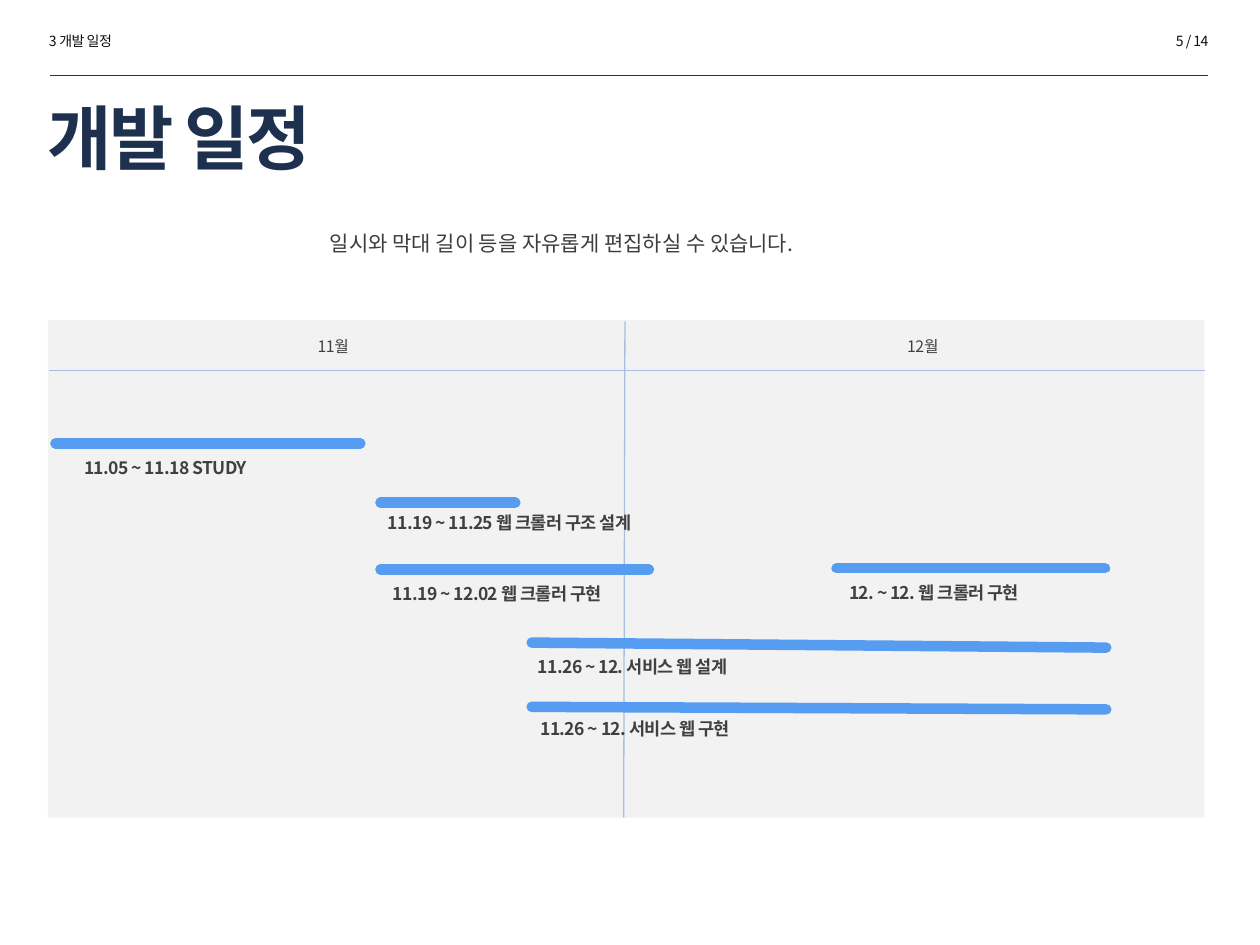
import pptx
import pptx.util
import pptx.dml.color
import pptx.enum.shapes
import pptx.enum.text
import pptx.oxml
import pptx.oxml.ns

Inches = pptx.util.Inches
Pt = pptx.util.Pt
ALIGN = pptx.enum.text.PP_ALIGN
ANCHOR = pptx.enum.text.MSO_ANCHOR
FONT = "Noto Sans CJK KR"

deck = pptx.Presentation()
deck.slide_width = Inches(10)
deck.slide_height = Inches(7.5)
page = deck.slides.add_slide(deck.slide_layouts[6])


def write(box, text, size, color, bold=False, spacing=-30, align=ALIGN.LEFT, wrap=True):
    frame = box.text_frame
    frame.text = text
    frame.word_wrap = wrap
    para = frame.paragraphs[0]
    para.alignment = align
    font = para.runs[0].font
    font.name = FONT
    font.size = Pt(size)
    font.bold = bold
    font.color.rgb = pptx.dml.color.RGBColor.from_string(color)
    properties = para.runs[0]._r.get_or_add_rPr()
    properties.set("spc", str(spacing))
    east_asian = pptx.oxml.parse_xml(
        f'<a:ea {pptx.oxml.ns.nsdecls("a")} typeface="{FONT}"/>')
    properties.find(pptx.oxml.ns.qn("a:latin")).addnext(east_asian)
    return para


def draw_line(x1, y1, x2, y2, color, width, cap="flat"):
    line = page.shapes.add_connector(
        pptx.enum.shapes.MSO_CONNECTOR.STRAIGHT,
        Inches(x1), Inches(y1), Inches(x2), Inches(y2))
    line.line.color.rgb = pptx.dml.color.RGBColor.from_string(color)
    line.line.width = Pt(width)
    line.line._get_or_add_ln().set("cap", cap)
    line._element.spPr.append(
        pptx.oxml.parse_xml(f'<a:effectLst {pptx.oxml.ns.nsdecls("a")}/>'))


panels = [
    ("", 0.38, 2.54, 9.18, 3.95),
    ("11월", 2.27, 2.55, 0.75, 0.39),
    ("12월", 6.95, 2.55, 0.75, 0.39),
]
for text, left, top, width, height in panels:
    panel = page.shapes.add_shape(
        pptx.enum.shapes.MSO_SHAPE.RECTANGLE,
        Inches(left), Inches(top), Inches(width), Inches(height))
    panel.shadow.inherit = False
    panel.fill.solid()
    panel.fill.fore_color.rgb = pptx.dml.color.RGBColor.from_string("F2F2F2")
    panel.line.fill.background()
    if text:
        panel.text_frame.vertical_anchor = ANCHOR.MIDDLE
        write(panel, text, 9, "404040", align=ALIGN.CENTER, wrap=False)

draw_line(0.39, 2.94, 9.56, 2.94, "A8BFDF", 0.5)
draw_line(4.96, 2.55, 4.95, 6.49, "A8BFDF", 0.75)

tasks = [
    ("11.05 ~ 11.18 STUDY", 0.57, 3.56, 2.2, (0.44, 3.52, 2.86, 3.52)),
    ("11.19 ~ 11.25 웹 크롤러 구조 설계", 2.98, 4, 2.39, (3.02, 3.99, 4.09, 3.99)),
    ("11.19 ~ 12.02 웹 크롤러 구현", 3.02, 4.56, 2, (3.02, 4.52, 5.15, 4.52)),
    ("11.26 ~ 12. 서비스 웹 구현", 4.19, 5.63, 4.86, (4.22, 5.61, 8.78, 5.63)),
    ("11.26 ~ 12. 서비스 웹 설계", 4.17, 5.14, 2.17, (4.22, 5.1, 8.78, 5.14)),
    ("12. ~ 12. 웹 크롤러 구현", 6.64, 4.55, 2, (6.64, 4.51, 8.77, 4.51)),
]
for text, left, top, width, bar in tasks:
    label = page.shapes.add_textbox(Inches(left), Inches(top), Inches(width), Inches(0.27))
    write(label, text, 10, "404040", bold=True).line_spacing = 1.1
    draw_line(*bar, "569CF0", 6, "rnd")

for text, left, align in [("3 개발 일정", 0.29, ALIGN.LEFT), ("5 / 14", 7.96, ALIGN.RIGHT)]:
    header = page.shapes.add_textbox(Inches(left), Inches(0.21), Inches(1.73), Inches(0.24))
    write(header, text, 8, "0D0D0D", align=align)

draw_line(0.4, 0.6, 9.59, 0.6, "1C314E", 0.25)

title = page.shapes.add_textbox(Inches(0.28), Inches(0.67), Inches(9.28), Inches(0.83))
title.text_frame.vertical_anchor = ANCHOR.MIDDLE
write(title, "개발 일정", 40, "1D314E", bold=True, spacing=-150)

guide = page.shapes.add_textbox(Inches(2.52), Inches(1.78), Inches(7.27), Inches(0.76))
write(guide, "일시와 막대 길이 등을 자유롭게 편집하실 수 있습니다.", 12, "3D3C3E",
      spacing=0).space_before = Pt(2.4)

deck.save("out.pptx")
